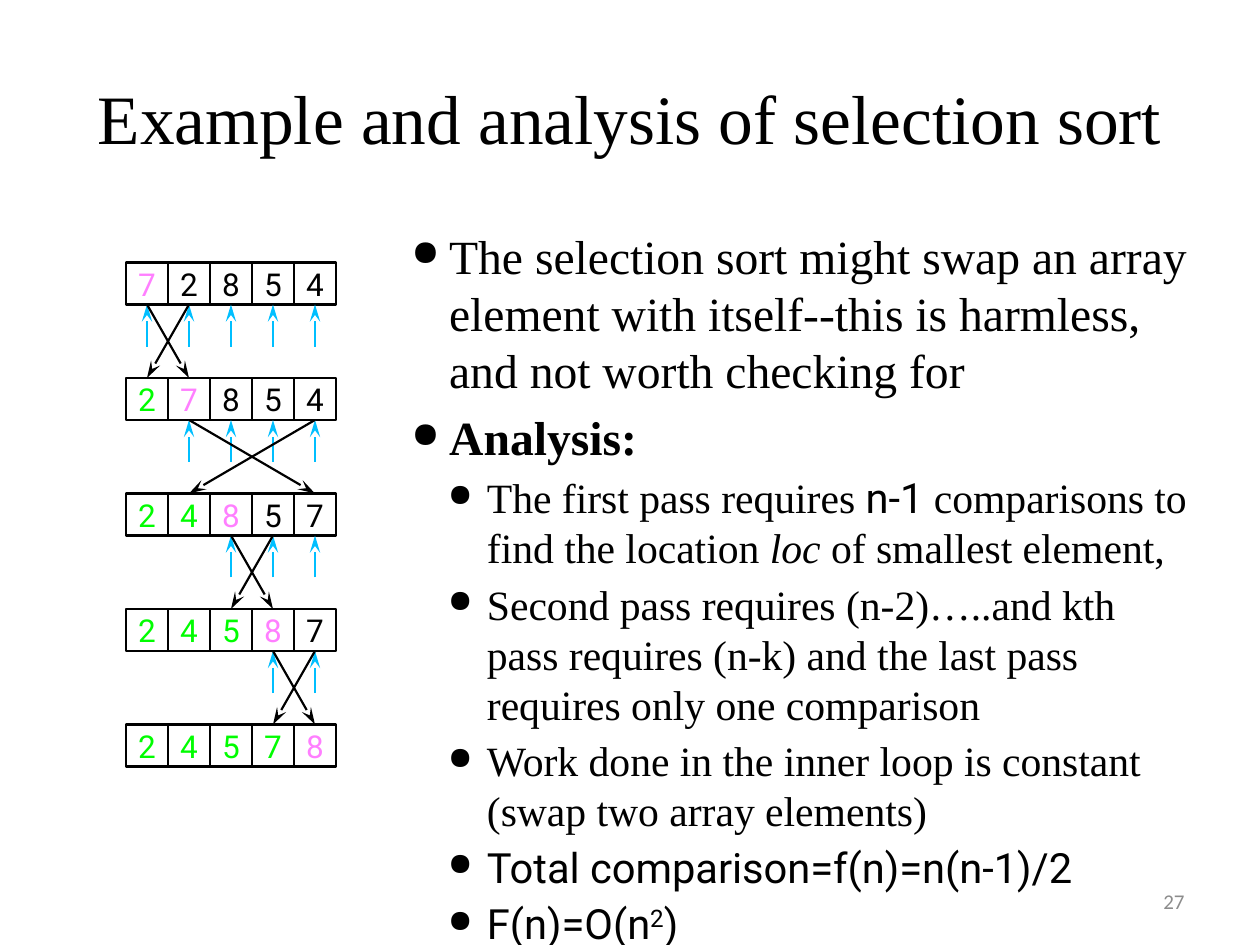
import lxml.etree
import pptx
import pptx.dml.color
import pptx.enum.shapes
import pptx.enum.text
import pptx.oxml.ns
import pptx.util


class Theme:
    serif, sans, plain = "Times New Roman", "Roboto", "Calibri"
    black, grey = "000000", "8C8C8C"
    current, sorted, scan = "FF7FFF", "00FD00", "00BFFF"
    title, point, subpoint, cell, number = 39.6, 27.2, 23.8, 18, 12
    border, arrow = 1.5, 1.25


def add_run(p, text, font, size, color=Theme.black):
    r = p.add_run()
    r.text = text
    r.font.name = font
    r.font.size = pptx.util.Pt(size)
    r.font.color.rgb = pptx.dml.color.RGBColor.from_string(color)
    return r


def add_arrow(shapes, x1, y1, x2, y2, color):
    ends = [int(v * unit) for v in (x1, y1, x2, y2)]
    c = shapes.add_connector(pptx.enum.shapes.MSO_CONNECTOR.STRAIGHT, *ends)
    c.line.width = pptx.util.Pt(Theme.arrow)
    c.line.color.rgb = pptx.dml.color.RGBColor.from_string(color)
    ln = c.line._get_or_add_ln()
    lxml.etree.SubElement(ln, pptx.oxml.ns.qn("a:tailEnd"),
                          type="stealth", w="med", len="lg")
    lxml.etree.SubElement(c._element.spPr, pptx.oxml.ns.qn("a:effectLst"))


prs = pptx.Presentation()
prs.slide_width = pptx.util.Inches(10)
prs.slide_height = pptx.util.Inches(7.5)
unit = prs.slide_width / 120
s = prs.slides.add_slide(prs.slide_layouts[6])

align = pptx.enum.text.PP_ALIGN
middle = pptx.enum.text.MSO_ANCHOR.MIDDLE

labels = [
    ((6, 3.6, 108, 15), "Example and analysis of selection sort",
     Theme.serif, Theme.title, Theme.black, align.CENTER),
    ((86, 83.4, 28, 4.8), "27",
     Theme.plain, Theme.number, Theme.grey, align.RIGHT),
]
for box, text, font, size, color, side in labels:
    tf = s.shapes.add_textbox(*[int(v * unit) for v in box]).text_frame
    tf.word_wrap = True
    tf.vertical_anchor = middle
    p = tf.paragraphs[0]
    p.alignment = side
    add_run(p, text, font, size, color)

points = [
    (0, [("The selection sort might swap an array element with itself"
          "--this is harmless, and not worth checking for", "")]),
    (0, [("Analysis:", "bold")]),
    (1, [("The first pass requires ", ""), ("n-1 ", "sans"),
         ("comparisons to find the location ", ""), ("loc ", "italic"),
         ("of smallest element,", "")]),
    (1, [("Second pass requires (n-2)…..and kth pass requires (n-k) "
          "and the last pass requires only one comparison", "")]),
    (1, [("Work done in the inner loop is constant "
          "(swap two array elements)", "")]),
    (1, [("Total comparison=f(n)=n(n-1)/2", "sans")]),
    (1, [("F(n)=O(n", "sans"), ("2", "sans super"), (")", "sans")]),
]
tf = s.shapes.add_textbox(*[int(v * unit) for v in (38, 21, 77, 64)]).text_frame
tf.word_wrap = True
for k, (level, runs) in enumerate(points):
    p = tf.add_paragraph() if k else tf.paragraphs[0]
    p.level = level
    p.space_before = pptx.util.Pt((5.8, 3.7)[level])
    pPr = p._p.get_or_add_pPr()
    pPr.set("marL", str(pptx.util.Inches((0.3, 0.6)[level])))
    pPr.set("indent", str(pptx.util.Inches((-0.3, -0.31)[level])))
    lxml.etree.SubElement(pPr, pptx.oxml.ns.qn("a:buSzPct"), val="75000")
    lxml.etree.SubElement(pPr, pptx.oxml.ns.qn("a:buChar"), char="●")
    for text, style in runs:
        r = add_run(p, text, Theme.sans if "sans" in style else Theme.serif,
                    (Theme.point, Theme.subpoint)[level])
        r.font.bold = "bold" in style
        r.font.italic = "italic" in style
        if "super" in style:
            r._r.get_or_add_rPr().set("baseline", "30000")

left, top, cell, step = 12, 25, 4, 11
values = [7, 2, 8, 5, 4]
centers = [left + cell * (j + 0.5) for j in range(len(values))]
swap = ()
for i in range(len(values)):
    y = top + step * i
    bottom = y + cell
    grp = s.shapes.add_group_shape()
    for j, value in enumerate(values):
        box = [int(v * unit) for v in (left + cell * j, y, cell, cell)]
        sp = grp.shapes.add_shape(
            pptx.enum.shapes.MSO_SHAPE.FLOWCHART_PROCESS, *box)
        sp.shadow.inherit = False
        sp.fill.background()
        sp.line.width = pptx.util.Pt(Theme.border)
        sp.line.color.rgb = pptx.dml.color.RGBColor.from_string(Theme.black)
        tf = sp.text_frame
        tf.word_wrap = False
        tf.vertical_anchor = middle
        tf.margin_top = tf.margin_bottom = 0
        p = tf.paragraphs[0]
        p.alignment = align.CENTER
        color = (Theme.sorted if j < i else
                 Theme.current if j == i else Theme.black)
        add_run(p, str(value), Theme.sans, Theme.cell, color)
    for start, end in zip(swap, swap[::-1]):
        add_arrow(grp.shapes, centers[start], y - step + cell,
                  centers[end], y, Theme.black)
    if i < len(values) - 1:
        for x in centers[i:]:
            add_arrow(s.shapes, x, bottom + cell, x, bottom, Theme.scan)
        smallest = values.index(min(values[i:]))
        swap = (i, smallest)
        values[i], values[smallest] = values[smallest], values[i]

prs.save("out.pptx")
